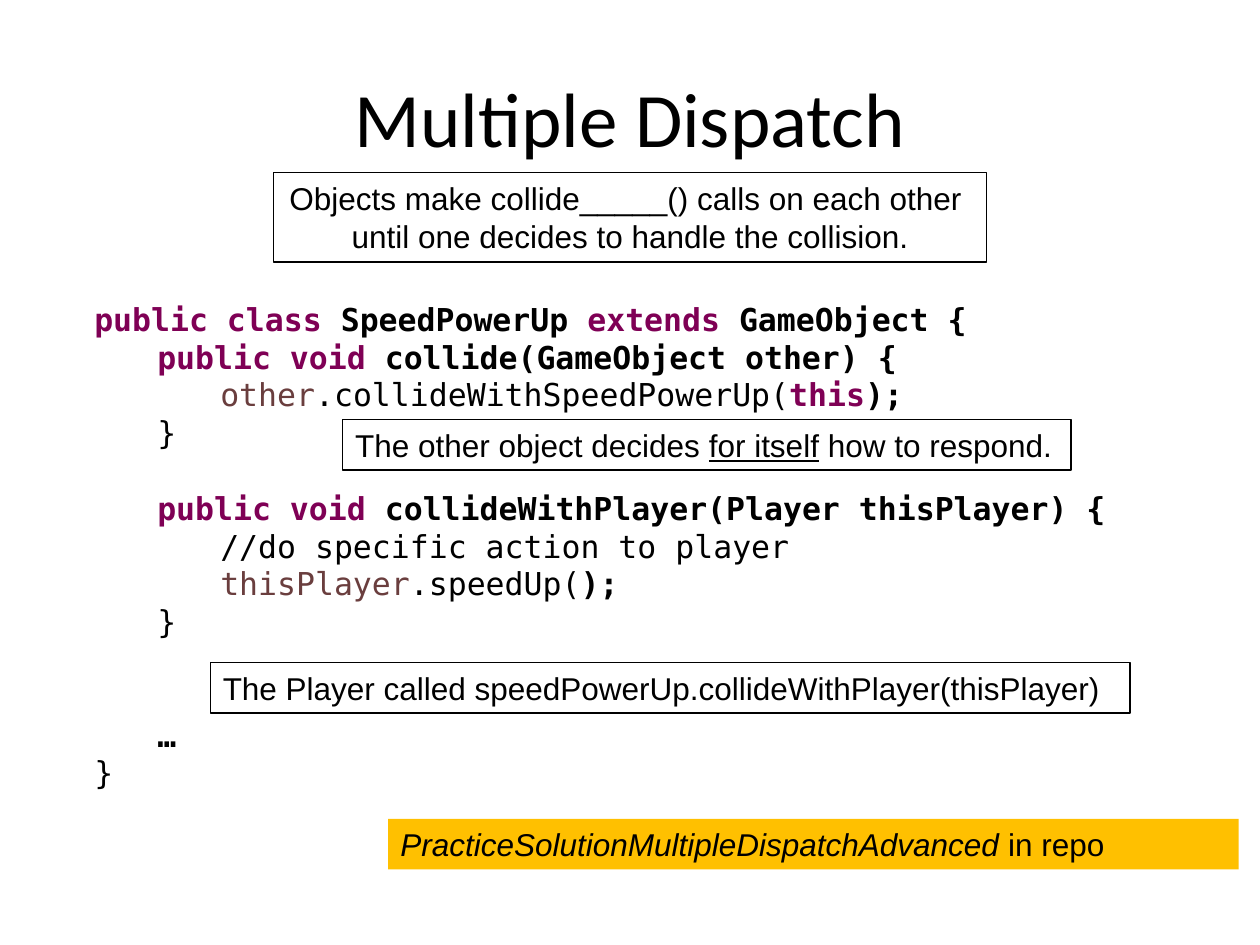
"""Build the Multiple Dispatch slide with its code listing and callouts."""
from pptx import Presentation
from pptx.dml.color import RGBColor
from pptx.enum.shapes import MSO_SHAPE
from pptx.enum.text import MSO_ANCHOR, PP_ALIGN
from pptx.util import Inches, Pt

COLORS = {"text": "000000", "keyword": "7F0055", "variable": "6A3E3E", "banner": "FFC000"}
LINE_PITCH = 21.6

KEYWORD = {"color": "keyword", "bold": True}
VARIABLE = {"color": "variable"}
BOLD = {"bold": True}
PLAIN = {}

CODE = [
    (0, [("public class ", KEYWORD), ("SpeedPowerUp ", BOLD),
         ("extends ", KEYWORD), ("GameObject {", BOLD)]),
    (0, [("\tpublic void", KEYWORD), (" collide(GameObject other) {", BOLD)]),
    (0, [("\t\tother", VARIABLE), (".collideWithSpeedPowerUp(", PLAIN),
         ("this", KEYWORD), (");", BOLD)]),
    (0, [("\t}", PLAIN)]),
    (1, [("\tpublic void ", KEYWORD), ("collideWithPlayer(Player thisPlayer) {", BOLD)]),
    (0, [("\t\t//do specific action to player", PLAIN)]),
    (0, [("\t\tthisPlayer", VARIABLE), (".speedUp(", PLAIN), (");", BOLD)]),
    (0, [("\t}", PLAIN)]),
    (2, [("\t…", BOLD)]),
    (0, [("}", PLAIN)]),
]


def rgb(name):
    """Return the named color."""
    return RGBColor.from_string(COLORS[name])


def add_span(para, text, font="Arial", size=18, color="text", bold=False,
             italic=False, underline=False):
    """Add one styled run to a paragraph."""
    span = para.add_run()
    span.text = text
    span.font.name = font
    span.font.size = Pt(size)
    span.font.color.rgb = rgb(color)
    span.font.bold = bold
    span.font.italic = italic
    span.font.underline = underline


def fill_text(box, lines, align=PP_ALIGN.LEFT, pitch=LINE_PITCH, **style):
    """Write lines given as (skipped lines, spans) into a shape."""
    frame = box.text_frame
    frame.word_wrap = True
    for index, (skipped, spans) in enumerate(lines):
        para = frame.add_paragraph() if index else frame.paragraphs[0]
        para.alignment = align
        if pitch:
            para.line_spacing = Pt(pitch)
        if skipped:
            para.space_before = Pt(skipped * LINE_PITCH)
        for text, look in spans:
            add_span(para, text, **style, **look)


def add_text(page, place, lines, anchor=MSO_ANCHOR.TOP, **style):
    """Add a plain text box."""
    box = page.shapes.add_textbox(*map(Inches, place))
    box.text_frame.vertical_anchor = anchor
    fill_text(box, lines, **style)


def add_callout(page, place, lines, fill=None, align=PP_ALIGN.LEFT):
    """Add an outlined rectangle, or a filled one without outline."""
    box = page.shapes.add_shape(MSO_SHAPE.RECTANGLE, *map(Inches, place))
    box.shadow.inherit = False
    if fill:
        box.fill.solid()
        box.fill.fore_color.rgb = rgb(fill)
        box.line.fill.background()
    else:
        box.fill.background()
        box.line.color.rgb = rgb("text")
        box.line.width = Pt(0.75)
    box.text_frame.vertical_anchor = MSO_ANCHOR.TOP
    fill_text(box, lines, align=align)


def main():
    """Build and save the deck."""
    deck = Presentation()
    deck.slide_width, deck.slide_height = Inches(10), Inches(7.5)
    page = deck.slides.add_slide(deck.slide_layouts[6])
    add_text(page, (0.5, 0.3, 9, 1.25), [(0, [("Multiple Dispatch", PLAIN)])],
             anchor=MSO_ANCHOR.MIDDLE, align=PP_ALIGN.CENTER, pitch=None,
             font="Calibri", size=44)
    add_text(page, (0.65, 2.33, 9.33, 4.34), CODE, font="DejaVu Sans Mono")
    add_callout(page, (3.08, 6.5, 6.75, 0.4),
                [(0, [("PracticeSolutionMultipleDispatchAdvanced", {"italic": True}),
                      (" in repo", PLAIN)])], fill="banner")
    add_callout(page, (2.72, 3.33, 5.78, 0.4),
                [(0, [("The other object decides ", PLAIN),
                      ("for itself", {"underline": True}),
                      (" how to respond.", PLAIN)])])
    add_callout(page, (1.67, 5.26, 7.3, 0.4),
                [(0, [("The Player called speedPowerUp.collideWithPlayer(thisPlayer)", PLAIN)])])
    add_callout(page, (2.17, 1.37, 5.66, 0.71),
                [(0, [("Objects make collide_____() calls on each other ", PLAIN)]),
                 (0, [("until one decides to handle the collision.", PLAIN)])],
                align=PP_ALIGN.CENTER)
    deck.save("out.pptx")


if __name__ == "__main__":
    main()
